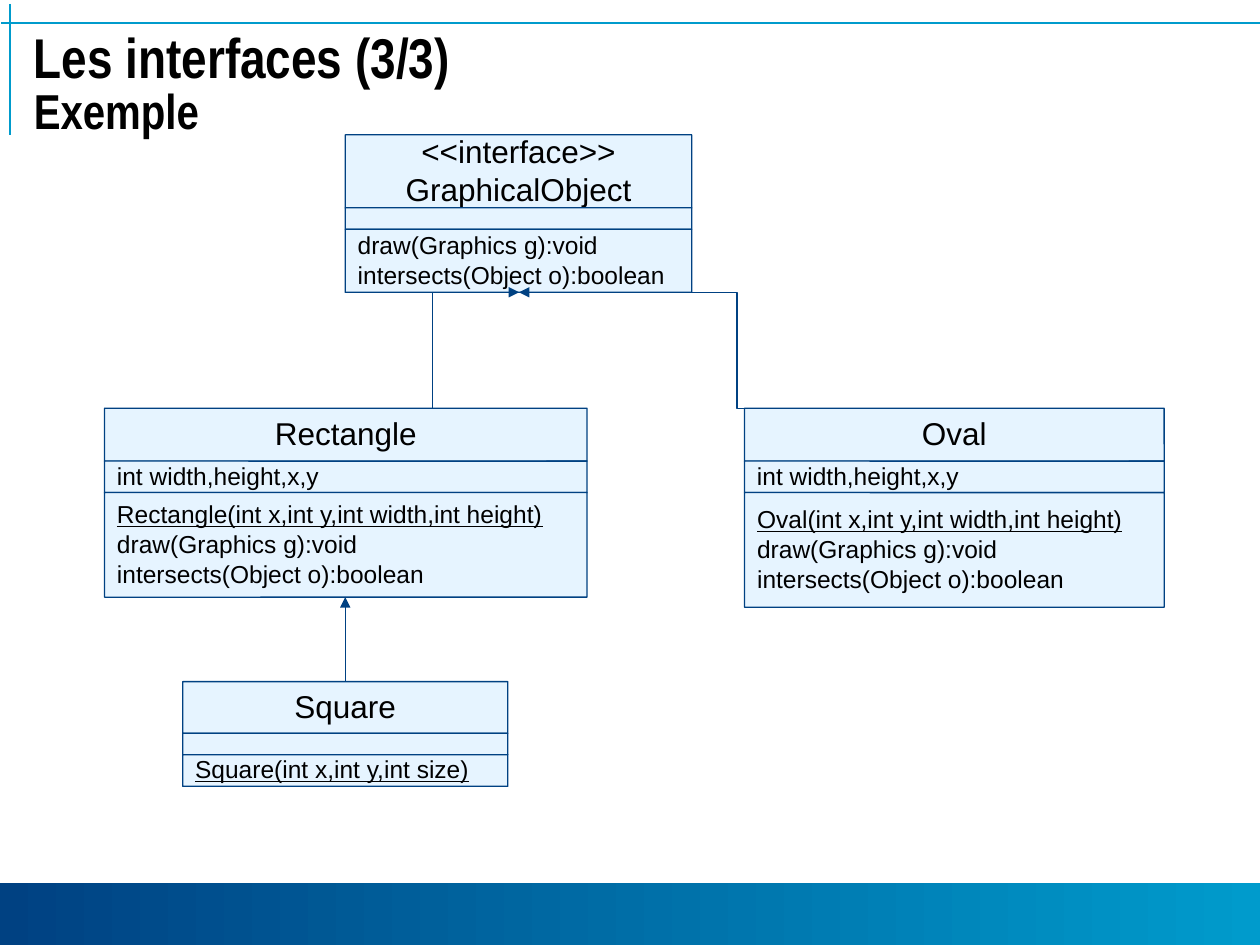
from dataclasses import dataclass
from typing import Any

from lxml.etree import SubElement
from pptx import Presentation
from pptx.dml.color import RGBColor
from pptx.enum.shapes import MSO_CONNECTOR, MSO_SHAPE
from pptx.enum.text import MSO_ANCHOR, PP_ALIGN
from pptx.oxml.ns import qn
from pptx.util import Inches, Pt

NAVY, CYAN, PALE, BLACK = "004182", "009BCC", "E6F4FF", "000000"


@dataclass
class Cell:
    """One compartment of a class box; the first rows may be underlined."""
    height: float
    rows: tuple[str, ...] = ()
    head: bool = False
    under: int = 0


@dataclass
class Box:
    left: float
    top: float
    width: float
    cells: tuple[Cell, ...]


@dataclass
class Link:
    start: tuple[float, float]
    end: tuple[float, float]


def paint(color: Any, code: str) -> None:
    color.rgb = RGBColor.from_string(code)


def apply(target: Any, form: dict[str, Any]) -> None:
    for name, value in form.items():
        setattr(target, name, value)


def margins(side: float, edge: float) -> dict[str, Any]:
    return {"margin_left": Inches(side), "margin_right": Inches(side),
            "margin_top": Inches(edge), "margin_bottom": Inches(edge)}


def add_run(para: Any, text: str, form: dict[str, Any]) -> None:
    run = para.add_run()
    run.text = text
    apply(run.font, form)
    paint(run.font.color, BLACK)


def add_line(shapes: Any, link: Link, kind: Any, code: str, width: float) -> Any:
    points = [Inches(n) for n in link.start + link.end]
    line = shapes.add_connector(kind, *points)
    paint(line.line.color, code)
    line.line.width = Pt(width)
    SubElement(line._element.spPr, qn("a:effectLst"))
    return line


def add_arrow(shapes: Any, link: Link) -> None:
    arrow = add_line(shapes, link, MSO_CONNECTOR.ELBOW, NAVY, 0.75)
    outline = arrow._element.spPr.find(qn("a:ln"))
    SubElement(outline, qn("a:tailEnd"), type="triangle")


def add_panel(shapes: Any, left: float, top: float, width: float, height: float) -> Any:
    panel = shapes.add_shape(MSO_SHAPE.ROUNDED_RECTANGLE, Inches(left),
                             Inches(top), Inches(width), Inches(height))
    panel.adjustments[0] = 0.003
    panel.shadow.inherit = False
    return panel


def add_cell(shapes: Any, box: Box, top: float, cell: Cell) -> None:
    panel = add_panel(shapes, box.left, top, box.width, cell.height)
    panel.fill.solid()
    paint(panel.fill.fore_color, PALE)
    paint(panel.line.color, NAVY)
    panel.line.width = Pt(0.75)
    frame = panel.text_frame
    apply(frame, {"vertical_anchor": MSO_ANCHOR.MIDDLE, **margins(0.1, 0.05)})
    for i, row in enumerate(cell.rows):
        para = frame.add_paragraph() if i else frame.paragraphs[0]
        para.alignment = PP_ALIGN.CENTER if cell.head else PP_ALIGN.LEFT
        para.line_spacing = 1.0 if i else 0.93
        add_run(para, row, {"name": "Arial", "size": Pt(18 if cell.head else 14),
                            "underline": i < cell.under})


def add_box(shapes: Any, box: Box) -> None:
    top = box.top
    for cell in box.cells:
        add_cell(shapes, box, top, cell)
        top += cell.height


def add_frame(shapes: Any) -> None:
    band = add_panel(shapes, 0, 7.01, 10, 0.52)
    band.line.fill.background()
    band.fill.gradient()
    band.fill.gradient_angle = 180
    for stop, code, place in zip(band.fill.gradient_stops, (CYAN, NAVY), (0, 1)):
        paint(stop.color, code)
        stop.position = place
    for rule in (Link((0.01, 0.18), (10, 0.18)), Link((0.08, 0.03), (0.08, 1.07))):
        add_line(shapes, rule, MSO_CONNECTOR.STRAIGHT, CYAN, 1)


def add_title(shapes: Any) -> None:
    title = shapes.add_textbox(Inches(0.17), Inches(0.22), Inches(9.83), Inches(0.93))
    apply(title.text_frame, {"word_wrap": True, **margins(0.1, 0.04)})
    para = title.text_frame.paragraphs[0]
    para.line_spacing = 0.85
    form = {"name": "Arial Narrow", "bold": True}
    add_run(para, "Les interfaces (3/3)", {**form, "size": Pt(32)})
    para.add_line_break()
    add_run(para, "Exemple", {**form, "size": Pt(28)})


METHODS = ("draw(Graphics g):void", "intersects(Object o):boolean")
FIELDS = Cell(0.25, ("int width,height,x,y",))
BLANK = Cell(0.17)


def figure(left: float, width: float, name: str, height: float) -> Box:
    maker = f"{name}(int x,int y,int width,int height)"
    return Box(left, 3.24, width, (
        Cell(0.42, (name,), head=True), FIELDS,
        Cell(height, (maker, *METHODS), under=1)))


BOXES = (
    Box(2.74, 1.07, 2.75, (
        Cell(0.58, ("<<interface>>", "GraphicalObject"), head=True),
        BLANK, Cell(0.5, METHODS))),
    figure(0.83, 3.83, "Rectangle", 0.83),
    figure(5.91, 3.33, "Oval", 0.91),
    Box(1.45, 5.41, 2.58, (
        Cell(0.41, ("Square",), head=True), BLANK,
        Cell(0.25, ("Square(int x,int y,int size)",), under=1))),
)
LINKS = (
    Link((2.74, 3.24), (4.12, 2.32)),
    Link((7.58, 3.24), (4.12, 2.32)),
    Link((2.74, 5.41), (2.74, 4.74)),
)


def main() -> None:
    deck = Presentation()
    apply(deck, {"slide_width": Inches(10), "slide_height": Inches(7.5)})
    shapes = deck.slides.add_slide(deck.slide_layouts[6]).shapes

    # Page frame and title
    add_frame(shapes)
    add_title(shapes)

    # Class boxes, then the arrows between them
    for box in BOXES:
        add_box(shapes, box)
    for link in LINKS:
        add_arrow(shapes, link)

    deck.save("out.pptx")


if __name__ == "__main__":
    main()
